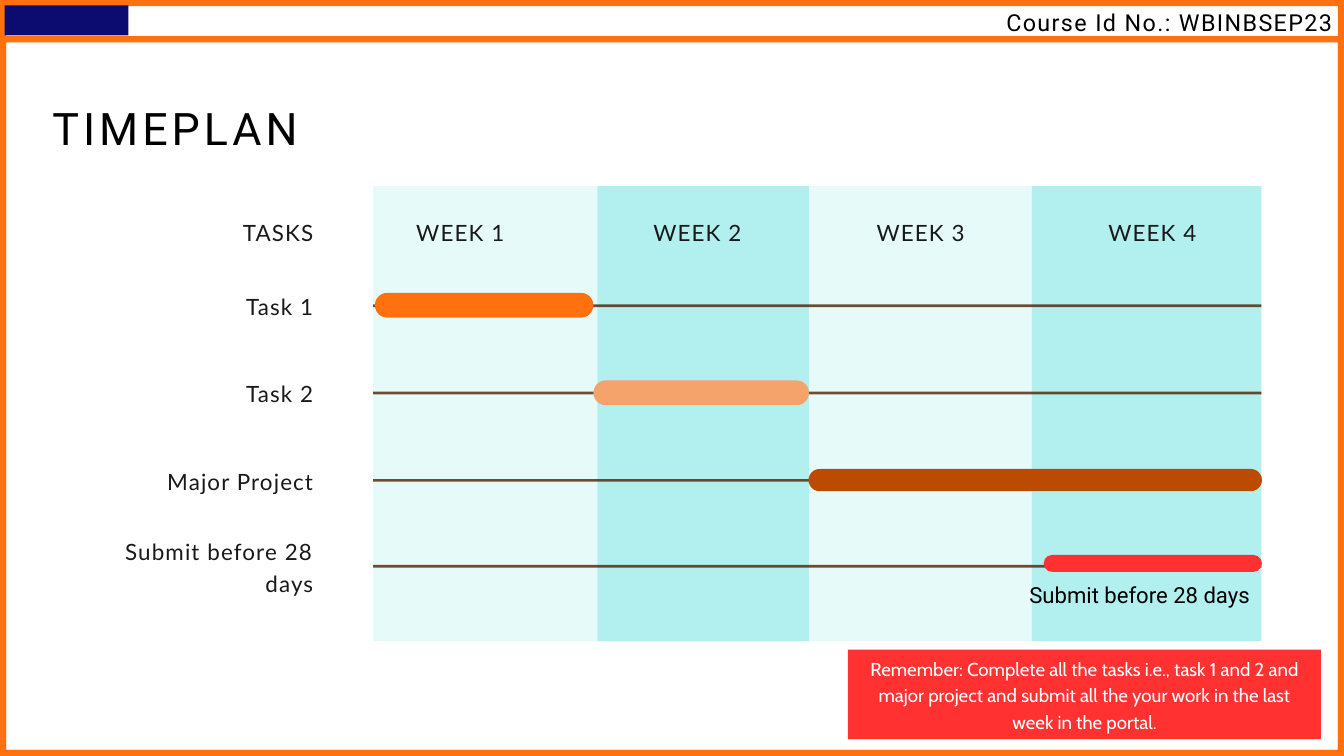
from itertools import pairwise

from lxml import etree
from pptx import Presentation
from pptx import util as u
from pptx.dml.color import RGBColor
from pptx.enum import shapes, text
from pptx.oxml.ns import qn

ORANGE = RGBColor(0xFF, 0x71, 0x0F)
PEACH = RGBColor(0xF6, 0xA3, 0x6B)
RUST = RGBColor(0xBB, 0x4B, 0x00)
RED = RGBColor(0xFF, 0x31, 0x31)
NAVY = RGBColor(0x0C, 0x0B, 0x70)
TEAL = RGBColor(0x3E, 0xDA, 0xD8)
AQUA = RGBColor(0x86, 0xEA, 0xE9)
BROWN = RGBColor(0x50, 0x20, 0x00)
BLACK = RGBColor(0, 0, 0)
INK = RGBColor(0x19, 0x19, 0x19)
WHITE = RGBColor(0xFF, 0xFF, 0xFF)

KIND = shapes.MSO_SHAPE
ALIGN = text.PP_ALIGN

WIDTH, HEIGHT = 50.8, 28.58
BORDER = 0.23
WEEK_EDGES = [14.1, 22.58, 30.58, 39, 47.68]
WEEK_LABELS = [14.1, 23.06, 31.5, 40.26]
HEADER_TOP = 8.18
LABEL_LEFT, LABEL_WIDTH = 3.1, 8.74

TASKS = [
    ("Task 1", 10.92, 11.56, (14.17, 11.07, 8.26, 0.94), ORANGE),
    ("Task 2", 14.22, 14.86, (22.43, 14.38, 8.15, 0.94), PEACH),
    ("Major Project", 17.53, 18.16, (30.56, 17.73, 17.14, 0.84), RUST),
    ("Submit before 28 days", 20.19, 21.41, (39.45, 20.98, 8.25, 0.64), RED),
]


def lengths(*values):
    return [u.Cm(value) for value in values]


def set_alpha(element, percent):
    color = next(element.iter(qn("a:srgbClr")))
    etree.SubElement(color, qn("a:alpha")).set("val", str(percent * 1000))


def add_block(page, kind, area, color, alpha=None, adjustment=None):
    block = page.shapes.add_shape(kind, *lengths(*area))
    block.shadow.inherit = False
    block.fill.solid()
    block.fill.fore_color.rgb = color
    block.line.fill.background()
    if alpha is not None:
        set_alpha(block._element.spPr, alpha)
    if adjustment is not None:
        block.adjustments[0] = adjustment


def add_frame(page, top):
    height = HEIGHT - top
    add_block(page, KIND.FRAME, (0, top, WIDTH, height), ORANGE, adjustment=BORDER / height)


def add_row_line(page, middle):
    line = page.shapes.add_connector(
        shapes.MSO_CONNECTOR.STRAIGHT,
        *lengths(WEEK_EDGES[0], middle, WEEK_EDGES[-1], middle),
    )
    line.line.color.rgb = BROWN
    line.line.width = u.Pt(2.9)
    set_alpha(line._element.spPr, 80)
    etree.SubElement(line._element.spPr, qn("a:effectLst"))


def write(box, words, font, size, color, align, leading, tracking=0):
    frame = box.text_frame
    frame.word_wrap = True
    frame.auto_size = text.MSO_AUTO_SIZE.NONE
    frame.vertical_anchor = text.MSO_ANCHOR.TOP
    frame.margin_left = frame.margin_right = frame.margin_top = frame.margin_bottom = 0
    para = frame.paragraphs[0]
    para.text = words
    para.alignment = align
    para.line_spacing = u.Pt(leading)
    para.space_before = u.Pt(0)
    para.font.name = font
    para.font.size = u.Pt(size)
    para.font.color.rgb = color
    if tracking:
        para._p.pPr.find(qn("a:defRPr")).set("spc", str(round(tracking * 100)))


def add_text(page, area, *style):
    write(page.shapes.add_textbox(*lengths(*area)), *style)


def add_label(page, area, words, align, leading):
    add_text(page, area, words, "Lato", 24, INK, align, leading, 1.2)


def add_title(page):
    title = page.shapes.title
    title.left, title.top, title.width, title.height = lengths(1.98, 3.46, 46, 2.37)
    write(title, "TIMEPLAN", "Roboto", 48, BLACK, ALIGN.LEFT, 67.2, 4.3)


def add_weeks(page):
    for index, (left, right) in enumerate(pairwise(WEEK_EDGES)):
        color, alpha = (TEAL, 40) if index % 2 else (AQUA, 20)
        add_block(page, KIND.RECTANGLE, (left, 7.04, right - left, 17.2), color, alpha)
    for number, left in enumerate(WEEK_LABELS, 1):
        add_label(page, (left, HEADER_TOP, 6.6, 1.09), f"WEEK {number}", ALIGN.CENTER, 31.2)


def add_tasks(page):
    add_label(page, (LABEL_LEFT, HEADER_TOP, LABEL_WIDTH, 1.09), "TASKS", ALIGN.RIGHT, 31.2)
    for name, top, middle, bar, color in TASKS:
        add_label(page, (LABEL_LEFT, top, LABEL_WIDTH, 1.14), name, ALIGN.RIGHT, 33.6)
        add_row_line(page, middle)
        add_block(page, KIND.ROUNDED_RECTANGLE, bar, color, adjustment=0.5)
    add_text(page, (38.91, 21.82, 8.79, 1.17), "Submit before 28 days",
             "Roboto", 23.7, BLACK, ALIGN.JUSTIFY, 33.2)


def add_reminder(page):
    add_block(page, KIND.RECTANGLE, (32.05, 24.56, 17.88, 3.38), RED)
    add_text(page, (32.51, 24.74, 16.97, 2.9),
             "Remember: Complete all the tasks i.e., task 1 and 2 and major project "
             "and submit all the your work in the last week in the portal.",
             "Cabin", 20, WHITE, ALIGN.CENTER, 28)


def main():
    deck = Presentation()
    deck.slide_width, deck.slide_height = lengths(WIDTH, HEIGHT)
    page = deck.slides.add_slide(deck.slide_layouts[5])
    add_frame(page, 1.37)
    add_frame(page, 0)
    add_block(page, KIND.RECTANGLE, (0.18, 0.2, 4.67, 1.14), NAVY)
    add_title(page)
    add_text(page, (10.64, 0.13, 39.73, 1.17), "Course Id No.: WBINBSEP23",
             "Roboto", 25, BLACK, ALIGN.RIGHT, 35, 1.5)
    add_weeks(page)
    add_tasks(page)
    add_reminder(page)
    deck.save("out.pptx")


if __name__ == "__main__":
    main()
